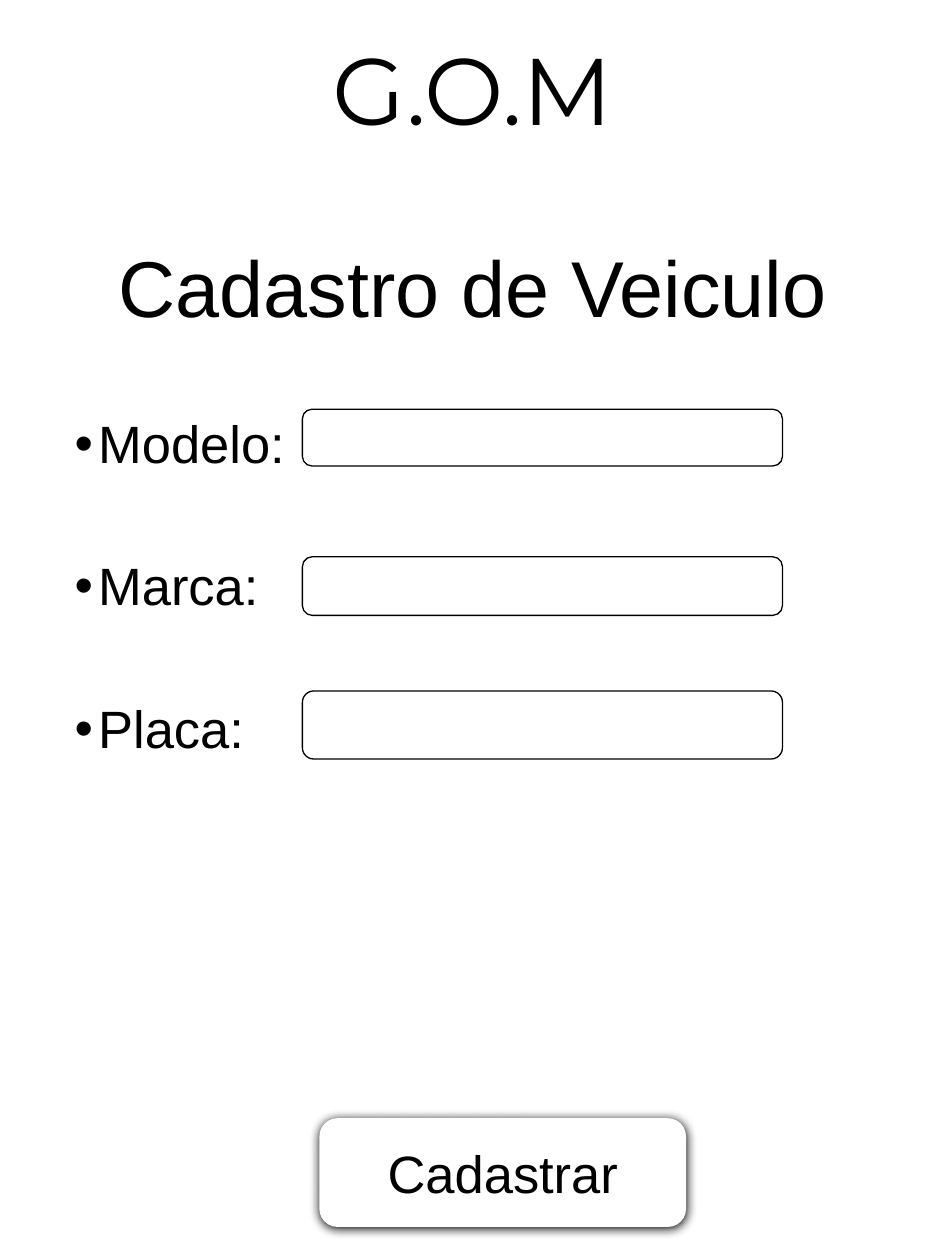
from lxml import etree
from pptx import Presentation
from pptx.dml.color import RGBColor
from pptx.enum.shapes import MSO_SHAPE
from pptx.enum.text import MSO_ANCHOR, PP_ALIGN
from pptx.oxml import parse_xml
from pptx.oxml.ns import nsdecls, qn
from pptx.util import Inches, Pt

BLACK, WHITE = "000000", "FFFFFF"
HEADINGS = [("G.O.M", 72, "Montserrat", 0), ("Cadastro de Veiculo", 60.3, "Arial", 79)]
FIELDS = [("Modelo:", 4.33, 0.6), ("Marca:", 5.89, 0.62), ("Placa:", 7.31, 0.72)]
FIELD_LEFT, FIELD_WIDTH = 3.2, 5.08
LABEL_GAP = 65.3
BUTTON = ("Cadastrar", (3.38, 11.83, 3.88, 1.15))
MARGIN, CONTENT_WIDTH = 0.69, 8.62

SHADOW = (
    f'<a:effectLst {nsdecls("a")}><a:outerShdw blurRad="{Pt(8.5)}" dist="{Pt(1)}" '
    f'dir="5400000" algn="t" rotWithShape="0"><a:srgbClr val="{BLACK}"/>'
    '</a:outerShdw></a:effectLst>'
)


def color(value):
    return RGBColor.from_string(value)


def style(paragraph, text, size, family="Arial", before=0, align=PP_ALIGN.LEFT, spacing=0.9):
    paragraph.text = text
    paragraph.alignment = align
    paragraph.line_spacing = spacing
    paragraph.space_before = Pt(before)
    paragraph.font.size = Pt(size)
    paragraph.font.name = family
    paragraph.font.color.rgb = color(BLACK)


def add_bullet(paragraph):
    props = paragraph._p.get_or_add_pPr()
    props.set("marL", str(Inches(0.25)))
    props.set("indent", str(-Inches(0.25)))
    etree.SubElement(props, qn("a:buFont")).set("typeface", "Arial")
    etree.SubElement(props, qn("a:buChar")).set("char", "•")
    props.append(props.find(qn("a:defRPr")))


def add_frame(top, height):
    box = slide.shapes.add_textbox(*map(Inches, (MARGIN, top, CONTENT_WIDTH, height)))
    box.text_frame.word_wrap = True
    return box.text_frame


def paragraph_at(frame, index):
    return frame.add_paragraph() if index else frame.paragraphs[0]


def add_rounded(*place):
    shape = slide.shapes.add_shape(MSO_SHAPE.ROUNDED_RECTANGLE, *map(Inches, place))
    shape.shadow.inherit = False
    shape.fill.solid()
    shape.fill.fore_color.rgb = color(WHITE)
    return shape


deck = Presentation()
deck.slide_width, deck.slide_height = Inches(10), Inches(13.33)
slide = deck.slides.add_slide(deck.slide_layouts[6])

title = add_frame(0.71, 2.58)
title.vertical_anchor = MSO_ANCHOR.MIDDLE
for index, (text, size, family, before) in enumerate(HEADINGS):
    style(paragraph_at(title, index), text, size, family, before, PP_ALIGN.CENTER)

labels = add_frame(4.33, 7.68)
labels.margin_top = Inches(0.09)
for index, (label, top, height) in enumerate(FIELDS):
    paragraph = paragraph_at(labels, index)
    style(paragraph, label, 40, before=LABEL_GAP if index else 0)
    add_bullet(paragraph)
    field = add_rounded(FIELD_LEFT, top, FIELD_WIDTH, height)
    field.line.color.rgb = color(BLACK)
    field.line.width = Pt(1)

caption, place = BUTTON
button = add_rounded(*place)
button.line.fill.background()
props = button._element.spPr
props.replace(props.find(qn("a:effectLst")), parse_xml(SHADOW))
button.text_frame.vertical_anchor = MSO_ANCHOR.MIDDLE
style(button.text_frame.paragraphs[0], caption, 40, align=PP_ALIGN.CENTER, spacing=1.0)

deck.save("out.pptx")
